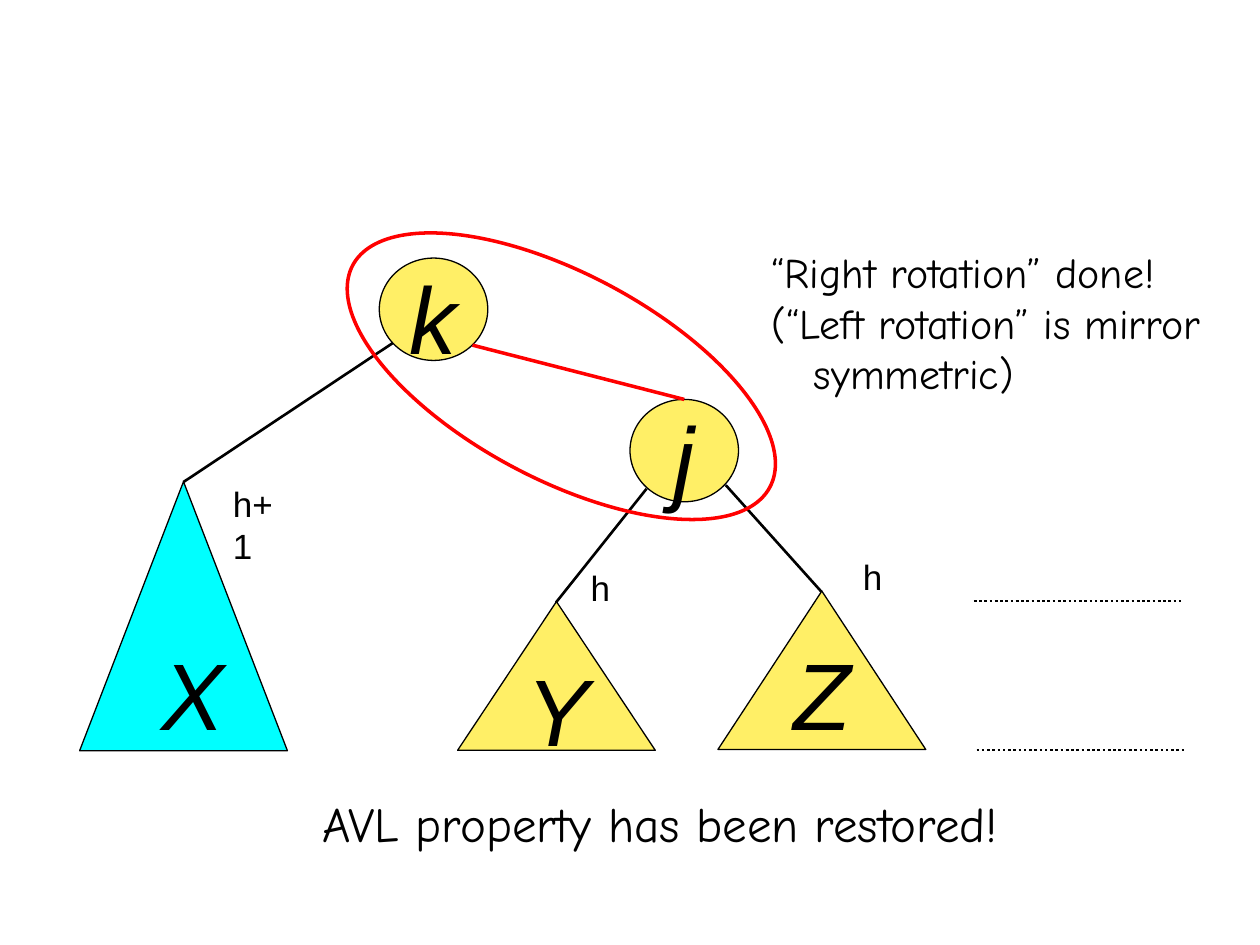
from pptx import Presentation
from pptx.dml.color import RGBColor
from pptx.enum.dml import MSO_LINE
from pptx.enum.shapes import MSO_CONNECTOR, MSO_SHAPE
from pptx.enum.text import MSO_ANCHOR, PP_ALIGN
from pptx.oxml.ns import qn
from pptx.util import Pt
from lxml import etree

BLACK = RGBColor(0x00, 0x00, 0x00)
RED = RGBColor(0xFF, 0x00, 0x00)
YELLOW = RGBColor(0xFF, 0xEF, 0x66)
CYAN = RGBColor(0x00, 0xFF, 0xFF)

prs = Presentation()
prs.slide_width, prs.slide_height = Pt(720), Pt(540)
s = prs.slides.add_slide(prs.slide_layouts[6])


def add_outlined(kind, box, fill=None, color=BLACK, width=0.75):
    """Add a preset shape; without a fill only its outline shows."""
    sp = s.shapes.add_shape(kind, *[Pt(v) for v in box])
    sp.shadow.inherit = False
    if fill is None:
        sp.fill.background()
    else:
        sp.fill.solid()
        sp.fill.fore_color.rgb = fill
    sp.line.color.rgb = color
    sp.line.width = Pt(width)
    return sp


def write_lines(tf, lines, font, size, italic=False):
    tf.word_wrap = False
    tf.text = "\n".join(lines)
    for p in tf.paragraphs:
        f = p.runs[0].font
        f.name, f.size, f.italic = font, Pt(size), italic
        f.color.rgb = BLACK


# Tree nodes
node_j = add_outlined(MSO_SHAPE.OVAL, (360, 228.25, 62, 58.5), YELLOW)
tf = node_j.text_frame
write_lines(tf, ["j"], "Arial", 54, italic=True)
tf.vertical_anchor = MSO_ANCHOR.MIDDLE
tf.margin_top = Pt(10)
tf.paragraphs[0].alignment = PP_ALIGN.CENTER
add_outlined(MSO_SHAPE.OVAL, (216.75, 147.5, 62, 58.5), YELLOW)

# Subtrees
for box, fill in [
    ((45.5, 275.25, 118.75, 153.75), CYAN),
    ((261.5, 343.75, 113, 85), YELLOW),
    ((410.25, 337.75, 118.75, 90.5), YELLOW),
]:
    add_outlined(MSO_SHAPE.ISOSCELES_TRIANGLE, box, fill)

# Edges and dotted level marks
for x1, y1, x2, y2, color, width, dash in [
    (556.5, 343.5, 675, 343.5, BLACK, 1.5, MSO_LINE.ROUND_DOT),
    (558, 428.5, 676.5, 428.5, BLACK, 1.5, MSO_LINE.ROUND_DOT),
    (104.75, 275.5, 224.5, 196, BLACK, 1.5, None),
    (369.5, 279.25, 317.75, 344.25, BLACK, 1.5, None),
    (414.75, 277.25, 469.5, 338.25, BLACK, 1.5, None),
    (270, 197.25, 391, 228.25, RED, 2, None),
]:
    ln = s.shapes.add_connector(
        MSO_CONNECTOR.STRAIGHT, Pt(x1), Pt(y1), Pt(x2), Pt(y2))
    ln.line.color.rgb = color
    ln.line.width = Pt(width)
    if dash:
        ln.line.dash_style = dash
    etree.SubElement(ln._element.spPr, qn("a:effectLst"))

# Rotated pair
ring = add_outlined(MSO_SHAPE.OVAL, (185.75, 156.25, 270, 117.5), None, RED, 2)
ring.rotation = 28

# Letters, heights and remarks
for lines, x, y, w, h, font, size, italic in [
    (["k"], 226.75, 145, 38, 72, "Arial", 54, True),
    (["X"], 85, 360, 38, 72, "Arial", 54, True),
    (["Y"], 293.75, 369, 38, 72, "Arial", 54, True),
    (["Z"], 446.5, 360, 38, 72, "Arial", 54, True),
    (["h"], 486, 314, 25, 31.5, "Arial", 20, False),
    (["h+1"], 126, 272, 48, 31.5, "Arial", 20, False),
    (["h"], 330.5, 320, 25, 31.5, "Arial", 20, False),
    (["“Right rotation” done!", "(“Left rotation” is mirror", "symmetric)"],
     434, 137.5, 261.5, 93.5, "Comic Neue", 24, False),
    (["AVL property has been restored!"],
     177, 450, 404, 41, "Comic Neue", 28, False),
]:
    tb = s.shapes.add_textbox(Pt(x), Pt(y), Pt(w), Pt(h))
    write_lines(tb.text_frame, lines, font, size, italic)
    if len(lines) > 1:
        tb.text_frame.paragraphs[-1]._p.get_or_add_pPr().set("marL", str(Pt(24)))

prs.save("out.pptx")
